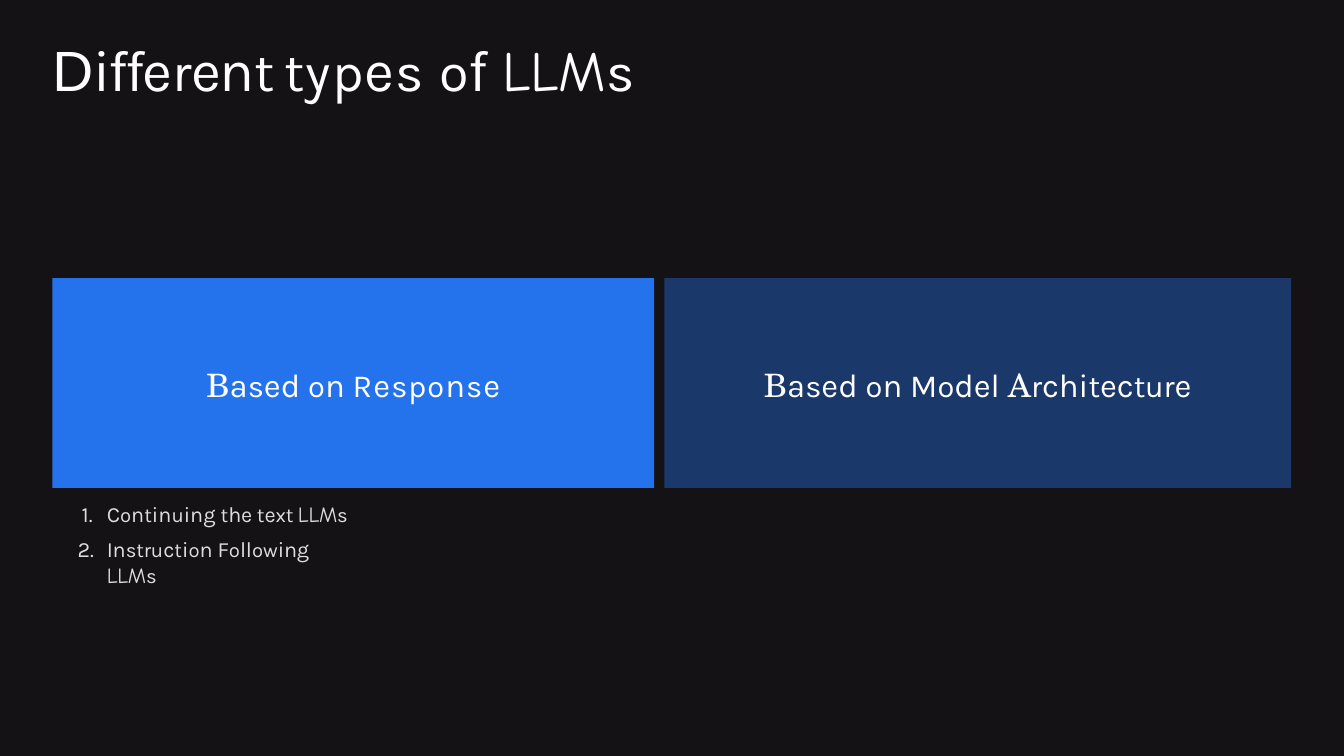
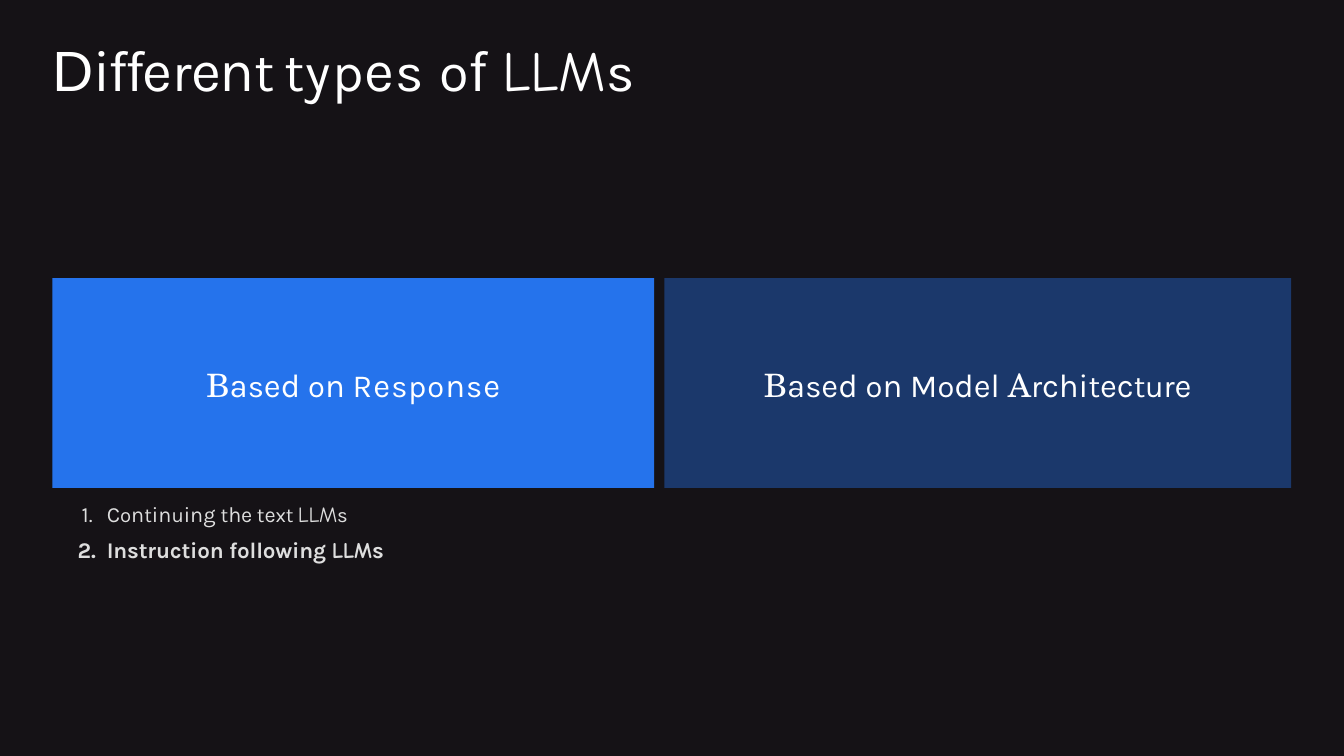
from itertools import groupby

from lxml.etree import SubElement
from pptx import Presentation
from pptx.dml.color import RGBColor
from pptx.enum.shapes import MSO_SHAPE
from pptx.enum.text import MSO_ANCHOR, PP_ALIGN
from pptx.oxml.ns import qn
from pptx.util import Emu, Inches, Pt

# Shared look
NIGHT = RGBColor(0x15, 0x12, 0x16)
BLUE = RGBColor(0x25, 0x73, 0xEC)
WHITE = RGBColor(0xFF, 0xFF, 0xFF)
SILVER = RGBColor(0xDE, 0xDE, 0xDE)
SANS, ROUND, SERIF, PLAIN = "Karla", "Comic Neue", "TeX Gyre Schola", "Arial"

# Lettering: some lowercase letters are set smaller than the rest
SMALL_LETTERS = set("oprstuwxy")
TITLE_SIZES = {"capital": 40.5, "large": 41.5, "small": 38.5}
CARD_SIZES = {"capital": 23, "large": 23.5, "small": 22}
LIST_SIZES = {"capital": 15.5, "large": 15.5, "small": 14.5}
BOLD_SIZES = {"capital": 16, "large": 16, "small": 16}

# Content: each piece of text has a font and a letter spacing
TITLE = [("D", PLAIN, -1.9), ("ifferent ", SANS, -1.9), ("types ", SANS, 0.8),
         ("of ", SANS, 0), ("LLM", ROUND, -0.2), ("s", SANS, -0.2)]

# Cards: width, opacity in percent, heading
CARDS = [
    (5.97, 100, [("B", SERIF, 0), ("ased on ", SANS, 0), ("Response", SANS, 0.7)]),
    (6.22, 40, [("B", SERIF, 0), ("ased on Model ", SANS, 0),
                ("A", SERIF, -0.1), ("rchitecture", SANS, -0.1)]),
]
CARD_LEFT, CARD_TOP, CARD_HEIGHT, CARD_GAP = 0.52, 2.76, 2.08, 0.1

# Slides: list width, second list item, its sizes
LLMS = [("LLM", ROUND, -0.2), ("s", SANS, -0.2)]
CONTINUING = [("Continuing ", SANS, 0), ("the ", SANS, -0.3), ("text ", SANS, -0.2)]
SLIDES = [
    (2.82, [("Instruction Following ", SANS, -0.1)], LIST_SIZES),
    (3.25, [("Instruction following ", SANS, -0.1)], BOLD_SIZES),
]
NUMBER_HANGS = [0.25, 0.29]


def split_by_size(text, sizes):
    """Yield stretches of equal letter size; a space follows the letter before it."""
    letter_sizes = []
    for letter in text:
        if letter == " ":
            size = letter_sizes[-1][1]
        elif letter.isupper():
            size = sizes["capital"]
        else:
            size = sizes["small" if letter in SMALL_LETTERS else "large"]
        letter_sizes.append((letter, size))
    for size, group in groupby(letter_sizes, key=lambda pair: pair[1]):
        yield "".join(letter for letter, _ in group), size


def write(frame, paragraphs, color=WHITE, align=PP_ALIGN.LEFT, top=0, indent=0,
          hangs=None, space_before=0, anchor=MSO_ANCHOR.TOP):
    """Fill a frame with (pieces, sizes) paragraphs; hangs makes a numbered list."""
    frame.word_wrap = True
    frame.vertical_anchor = anchor
    frame.margin_left = frame.margin_right = frame.margin_bottom = 0
    frame.margin_top = Inches(top)
    for index, (pieces, sizes) in enumerate(paragraphs):
        paragraph = frame.add_paragraph() if index else frame.paragraphs[0]
        paragraph.alignment = align
        if index:
            paragraph.space_before = Pt(space_before)
        props = paragraph._p.get_or_add_pPr()
        props.set("marL", str(Inches(indent)))
        if hangs:
            props.set("indent", str(-Inches(hangs[index])))
            SubElement(props, qn("a:buAutoNum"), type="arabicPeriod")
        for text, font, spacing in pieces:
            for stretch, size in split_by_size(text, sizes):
                run = paragraph.add_run()
                run.text = stretch
                run.font.name = font
                run.font.size = Pt(size)
                run.font.bold = sizes is BOLD_SIZES
                run.font.color.rgb = color
                if spacing:
                    run._r.get_or_add_rPr().set("spc", str(round(spacing * 100)))


def add_box(slide, left, top, width, height):
    return slide.shapes.add_textbox(*map(Inches, (left, top, width, height))).text_frame


def add_rectangle(slide, left, top, width, height, color):
    rectangle = slide.shapes.add_shape(MSO_SHAPE.RECTANGLE, left, top, width, height)
    rectangle.shadow.inherit = False
    rectangle.line.fill.background()
    rectangle.fill.solid()
    rectangle.fill.fore_color.rgb = color
    return rectangle


def add_cards(slide):
    left = CARD_LEFT
    for width, opacity, heading in CARDS:
        card = add_rectangle(
            slide, *map(Inches, (left, CARD_TOP, width, CARD_HEIGHT)), BLUE)
        if opacity < 100:
            tint = card._element.spPr.find(qn("a:solidFill"))[0]
            SubElement(tint, qn("a:alpha"), val=str(opacity * 1000))
        write(card.text_frame, [(heading, CARD_SIZES)], align=PP_ALIGN.CENTER,
              top=0.02, anchor=MSO_ANCHOR.MIDDLE)
        left += width + CARD_GAP


def main():
    deck = Presentation()
    deck.slide_width, deck.slide_height = Emu(12192000), Inches(7.5)
    slides = [deck.slides.add_slide(deck.slide_layouts[6]) for _ in SLIDES]

    # Backdrop: one panel, moved to the master behind everything else
    backdrop = add_rectangle(slides[0], 0, 0, deck.slide_width, deck.slide_height, NIGHT)
    deck.slide_master.shapes._spTree.insert(2, backdrop._element)

    for slide, (list_width, second_type, second_sizes) in zip(slides, SLIDES):
        write(add_box(slide, 0.5, 0.16, 12.33, 1.35), [(TITLE, TITLE_SIZES)],
              top=0.17, indent=0.02)
        llm_types = [(CONTINUING + LLMS, LIST_SIZES), (second_type + LLMS, second_sizes)]
        write(add_box(slide, 0.75, 4.87, list_width, 0.72), llm_types, color=SILVER,
              top=0.1, indent=0.31, hangs=NUMBER_HANGS, space_before=6.2)
        add_cards(slide)
    deck.save("out.pptx")


if __name__ == "__main__":
    main()
